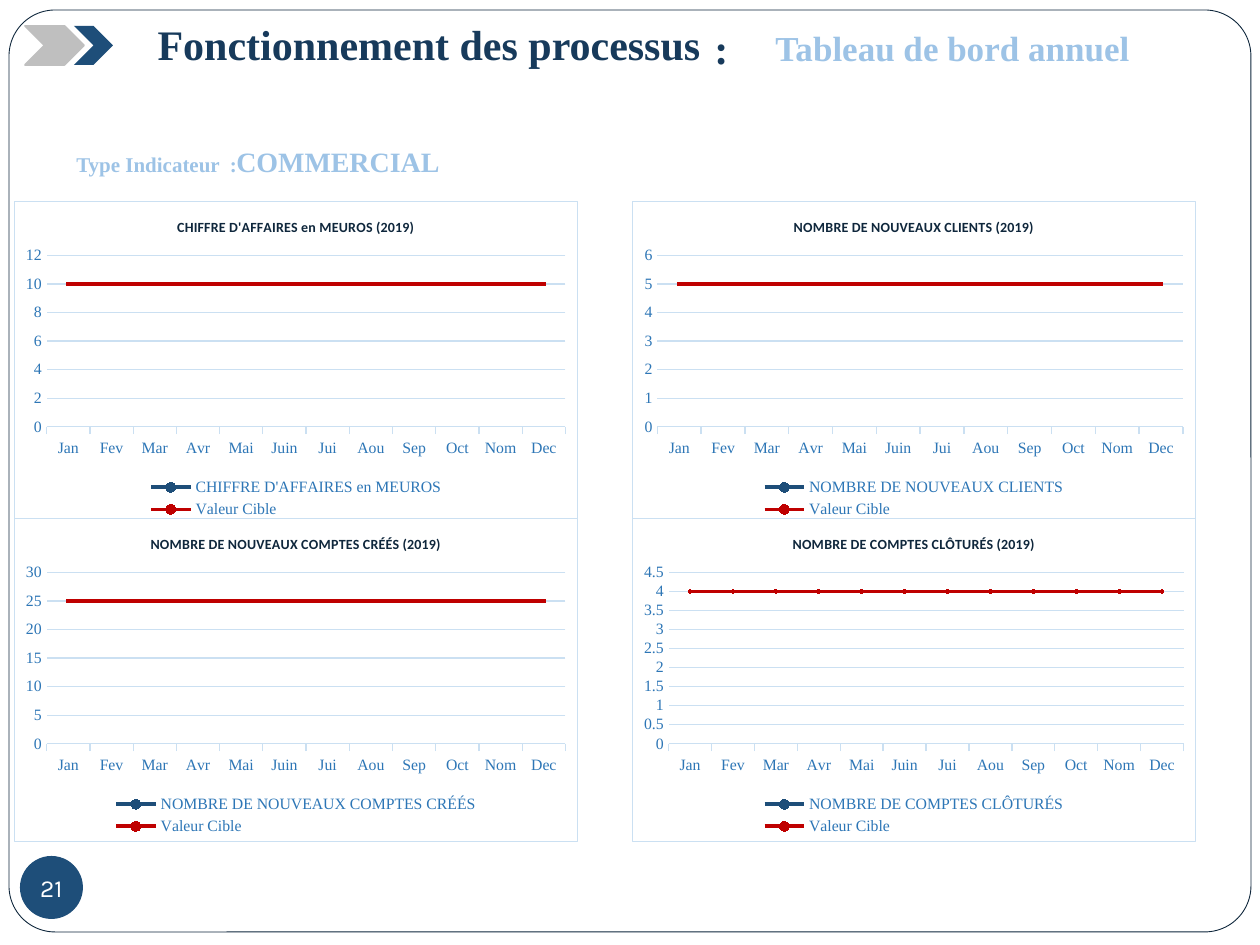
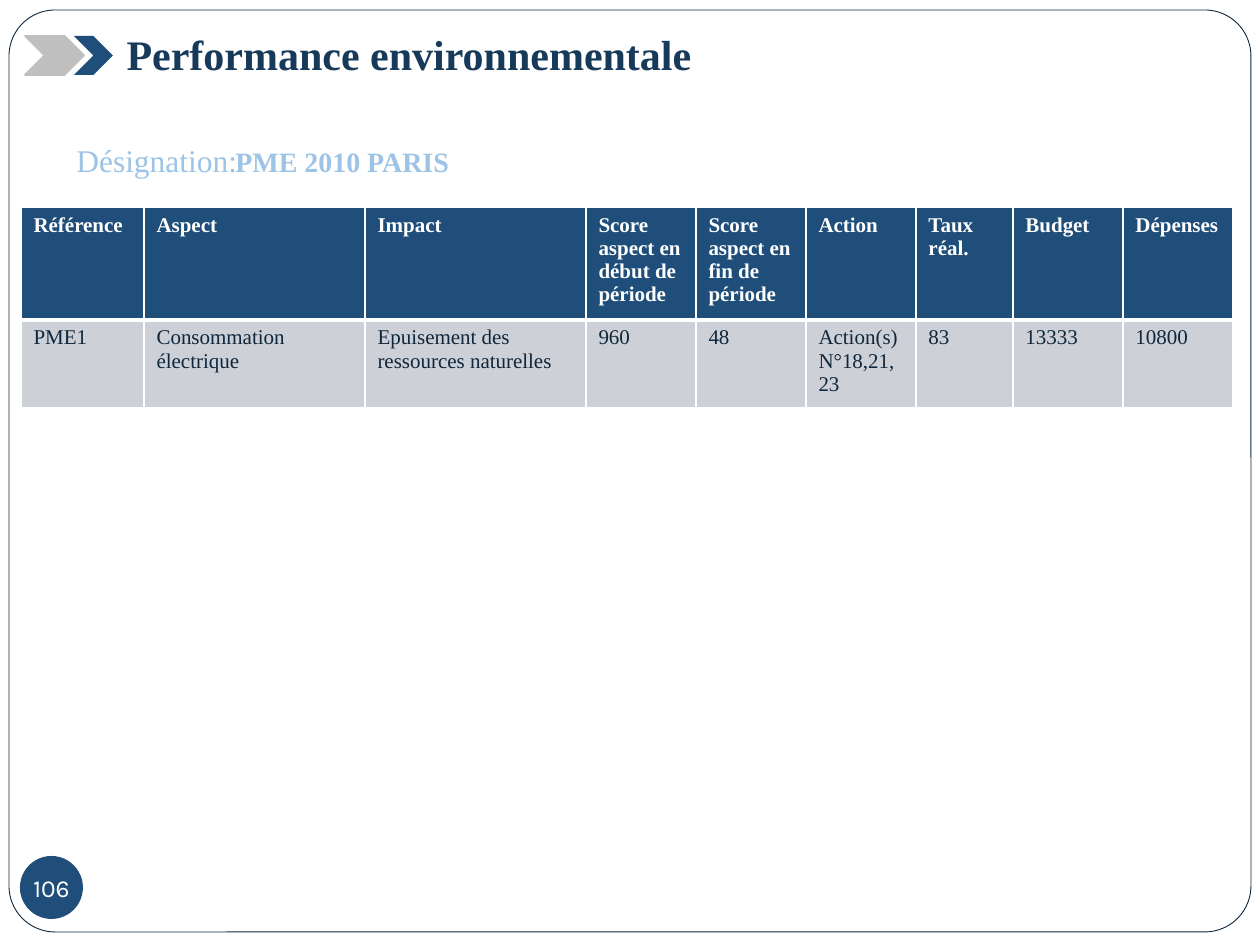
from lxml import etree
from pptx import Presentation
from pptx import util as u
from pptx.chart.data import CategoryChartData
from pptx.dml.color import RGBColor
from pptx.enum import chart as ch, shapes, text
from pptx.oxml import parse_xml
from pptx.oxml.ns import nsdecls, qn

PX = 914400 / 126  # EMU in one px
SERIF = "Times New Roman"
NAVY, TITLE, INK = "1E4E79", "173A5B", "0F273C"
SKY, LABEL, GRID = "9DC3E6", "2D76B6", "CBE0F2"
GREY, ROW, RED, WHITE = "BFBFBF", "CDD0D7", "BF0000", "FFFFFF"

MONTHS = ["Jan", "Fev", "Mar", "Avr", "Mai", "Juin",
          "Jui", "Aou", "Sep", "Oct", "Nom", "Dec"]
# indicator, target, axis maximum, axis step, plot left, legend width
INDICATORS = [
    ("CHIFFRE D'AFFAIRES en MEUROS", 10, 12, 2, 32, 310),
    ("NOMBRE DE NOUVEAUX CLIENTS", 5, 6, 1, 25, 320),
    ("NOMBRE DE NOUVEAUX COMPTES CRÉÉS", 25, 30, 5, 32, 390),
    ("NOMBRE DE COMPTES CLÔTURÉS", 4, 4.5, 0.5, 36, 320),
]
CHART_W, CHART_H = 564, 324
COLUMN_PITCH, ROW_PITCH = 618, 317

ASPECT_COLUMNS = [
    ("Référence", "PME1", 123),
    ("Aspect", "Consommation électrique", 221),
    ("Impact", "Epuisement des ressources naturelles", 221),
    ("Score aspect en début de période", "960", 110),
    ("Score aspect en fin de période", "48", 110),
    ("Action", "Action(s) N°18,21,23", 110),
    ("Taux réal.", "83", 97),
    ("Budget", "13333", 110),
    ("Dépenses", "10800", 110),
]


def px(*lengths):
    return [u.Emu(round(length * PX)) for length in lengths]


def rgb(color):
    return RGBColor.from_string(color)


def style_font(font, size, color, bold=False, name=SERIF):
    font.size, font.bold, font.name = u.Pt(size), bold, name
    font.color.rgb = rgb(color)


def style_line(line, color, width):
    line.color.rgb = rgb(color)
    line.width = u.Pt(width)


# Text and shapes

def write(frame, content, size, color, bold=True, align=text.PP_ALIGN.LEFT, wrap=True):
    frame.text = content
    frame.word_wrap = wrap
    frame.auto_size = text.MSO_AUTO_SIZE.NONE
    frame.vertical_anchor = text.MSO_ANCHOR.TOP
    paragraph = frame.paragraphs[0]
    paragraph.alignment = align
    style_font(paragraph.runs[0].font, size, color, bold)


def add_label(slide, box, content, size, color=SKY, **options):
    label = slide.shapes.add_textbox(*px(*box))
    write(label.text_frame, content, size, color, **options)


def add_shape(slide, preset, box, fill=None, line=None, width=1):
    shape = slide.shapes.add_shape(preset, *px(*box))
    shape.shadow.inherit = False
    if fill:
        shape.fill.solid()
        shape.fill.fore_color.rgb = rgb(fill)
    else:
        shape.fill.background()
    if line:
        style_line(shape.line, line, width)
    else:
        shape.line.fill.background()
    return shape


def add_page(deck, title, title_box, chevron_top, number):
    """Title, frame, double chevron and page badge shared by all slides."""
    slide = deck.slides.add_slide(deck.slide_layouts[5])
    heading = slide.shapes.title
    heading.left, heading.top, heading.width, heading.height = px(*title_box)
    write(heading.text_frame, title, 24, TITLE)

    kinds = shapes.MSO_SHAPE
    frame = add_shape(slide, kinds.ROUNDED_RECTANGLE, (9, 10, 1242, 922),
                      line=INK, width=0.5)
    frame.adjustments[0] = 0.05
    add_shape(slide, kinds.CHEVRON, (25, chevron_top, 59, 39), GREY, GREY)
    add_shape(slide, kinds.CHEVRON, (74, chevron_top, 39, 39), NAVY)

    badge = add_shape(slide, kinds.OVAL, (20, 856, 63, 63), NAVY)
    digits = badge.text_frame
    digits.margin_left = digits.margin_right = 0
    digits.margin_top = digits.margin_bottom = 0
    write(digits, number, 14, WHITE, bold=False,
          align=text.PP_ALIGN.CENTER, wrap=False)
    digits.vertical_anchor = text.MSO_ANCHOR.MIDDLE
    digits.paragraphs[0].runs[0].font.name = "Karla"
    return slide


# Charts

def place_in_chart(part, index, box, inner=False):
    """Fix the place of a plot area or legend, box in px from the chart corner."""
    for old in part.findall(qn("c:layout")):
        part.remove(old)
    layout = etree.Element(qn("c:layout"))
    manual = etree.SubElement(layout, qn("c:manualLayout"))
    settings = [("layoutTarget", "inner")] if inner else []
    settings += [("xMode", "edge"), ("yMode", "edge")]
    sizes = (CHART_W, CHART_H, CHART_W, CHART_H)
    settings += [(key, f"{value / size:.3f}")
                 for key, value, size in zip("xywh", box, sizes)]
    for key, value in settings:
        etree.SubElement(manual, qn(f"c:{key}")).set("val", value)
    part.insert(index, layout)


def add_indicator_chart(slide, left, top, name, target, maximum, step,
                        plot_left, legend_width):
    data = CategoryChartData()
    data.categories = MONTHS
    data.add_series(name, [None] * len(MONTHS))
    data.add_series("Valeur Cible", [target] * len(MONTHS))
    chart = slide.shapes.add_chart(ch.XL_CHART_TYPE.LINE_MARKERS,
                                   *px(left, top, CHART_W, CHART_H), data).chart
    style_font(chart.font, 10, INK)

    # Title and legend
    chart.has_title = True
    heading = chart.chart_title.text_frame
    heading.text = f"{name} (2019)"
    style_font(heading.paragraphs[0].runs[0].font, 8, INK, True, "Calibri")
    chart.has_legend = True
    chart.legend.position = ch.XL_LEGEND_POSITION.BOTTOM
    chart.legend.include_in_layout = False
    style_font(chart.legend.font, 9, LABEL)

    # Axes
    months, values = chart.category_axis, chart.value_axis
    for axis in (months, values):
        style_font(axis.tick_labels.font, 9, LABEL)
    months.major_tick_mark = ch.XL_TICK_MARK.OUTSIDE
    style_line(months.format.line, GRID, 0.75)
    values.major_tick_mark = ch.XL_TICK_MARK.NONE
    values.minimum_scale, values.maximum_scale, values.major_unit = 0, maximum, step
    values.format.line.fill.background()
    style_line(values.major_gridlines.format.line, GRID, 0.75)

    # Series
    plot = chart.plots[0]
    plot.vary_by_categories = False
    for series, color, size in zip(plot.series, (NAVY, RED), (5, 2)):
        series.smooth = False
        style_line(series.format.line, color, 2.25)
        series.marker.style = ch.XL_MARKER_STYLE.CIRCLE
        series.marker.size = size
        series.marker.format.fill.solid()
        series.marker.format.fill.fore_color.rgb = rgb(color)
        style_line(series.marker.format.line, color, 0.75)

    # Inner layout, background and border
    body = chart.element.find(qn("c:chart"))
    place_in_chart(body.find(qn("c:plotArea")), 0,
                   (plot_left, 54, 552 - plot_left, 172), inner=True)
    place_in_chart(body.find(qn("c:legend")), 1,
                   ((CHART_W - legend_width) / 2, 274, legend_width, 48))
    body.addnext(parse_xml(
        f'<c:spPr {nsdecls("c", "a")}>'
        f'<a:solidFill><a:srgbClr val="{WHITE}"/></a:solidFill>'
        f'<a:ln w="{u.Pt(0.75)}"><a:solidFill><a:srgbClr val="{GRID}"/>'
        '</a:solidFill></a:ln></c:spPr>'))


# Table

def set_borders(cell, bottom_width):
    properties = cell._tc.get_or_add_tcPr()
    widths = {"lnL": 1, "lnR": 1, "lnT": 1, "lnB": bottom_width}
    for index, (side, width) in enumerate(widths.items()):
        properties.insert(index, parse_xml(
            f'<a:{side} {nsdecls("a")} w="{u.Pt(width)}"><a:solidFill>'
            f'<a:srgbClr val="{WHITE}"/></a:solidFill></a:{side}>'))


def fill_cell(cell, content, is_header):
    cell.text = content
    style_font(cell.text_frame.paragraphs[0].runs[0].font, 12,
               WHITE if is_header else INK, is_header)
    cell.fill.solid()
    cell.fill.fore_color.rgb = rgb(NAVY if is_header else ROW)
    set_borders(cell, 3 if is_header else 1)


def add_aspect_table(slide, left, top):
    width = sum(column[2] for column in ASPECT_COLUMNS)
    heights = px(113, 88)
    table = slide.shapes.add_table(2, len(ASPECT_COLUMNS),
                                   *px(left, top, width, 201)).table
    for row, height in zip(table.rows, heights):
        row.height = height
    for index, (header, value, column_width) in enumerate(ASPECT_COLUMNS):
        table.columns[index].width = px(column_width)[0]
        fill_cell(table.cell(0, index), header, True)
        fill_cell(table.cell(1, index), value, False)


# Slides

def build_dashboard(deck):
    slide = add_page(deck, "Fonctionnement des processus",
                     (145, 12, 600, 63), 26, "21")
    add_label(slide, (702, 16, 38, 63), ":", 24, TITLE, wrap=False)
    add_label(slide, (541, 20, 823, 55), "Tableau de bord annuel", 20,
              align=text.PP_ALIGN.CENTER)
    add_label(slide, (64, 145, 417, 38), "Type Indicateur  :", 12)
    add_label(slide, (224, 138, 892, 47), "COMMERCIAL", 16)
    for index, indicator in enumerate(INDICATORS):
        row, column = divmod(index, 2)
        add_indicator_chart(slide, 14 + column * COLUMN_PITCH,
                            201 + row * ROW_PITCH, *indicator)


def build_environment(deck):
    slide = add_page(deck, "Performance environnementale",
                     (114, 22, 1091, 63), 36, "106")
    add_label(slide, (64, 135, 188, 50), "Désignation:", 18, bold=False, wrap=False)
    add_label(slide, (223, 138, 1002, 47), "PME 2010 PARIS", 16)
    add_aspect_table(slide, 21, 207)


def main():
    deck = Presentation()
    deck.slide_width, deck.slide_height = px(1260, 945)
    build_dashboard(deck)
    build_environment(deck)
    deck.save("out.pptx")


if __name__ == "__main__":
    main()
